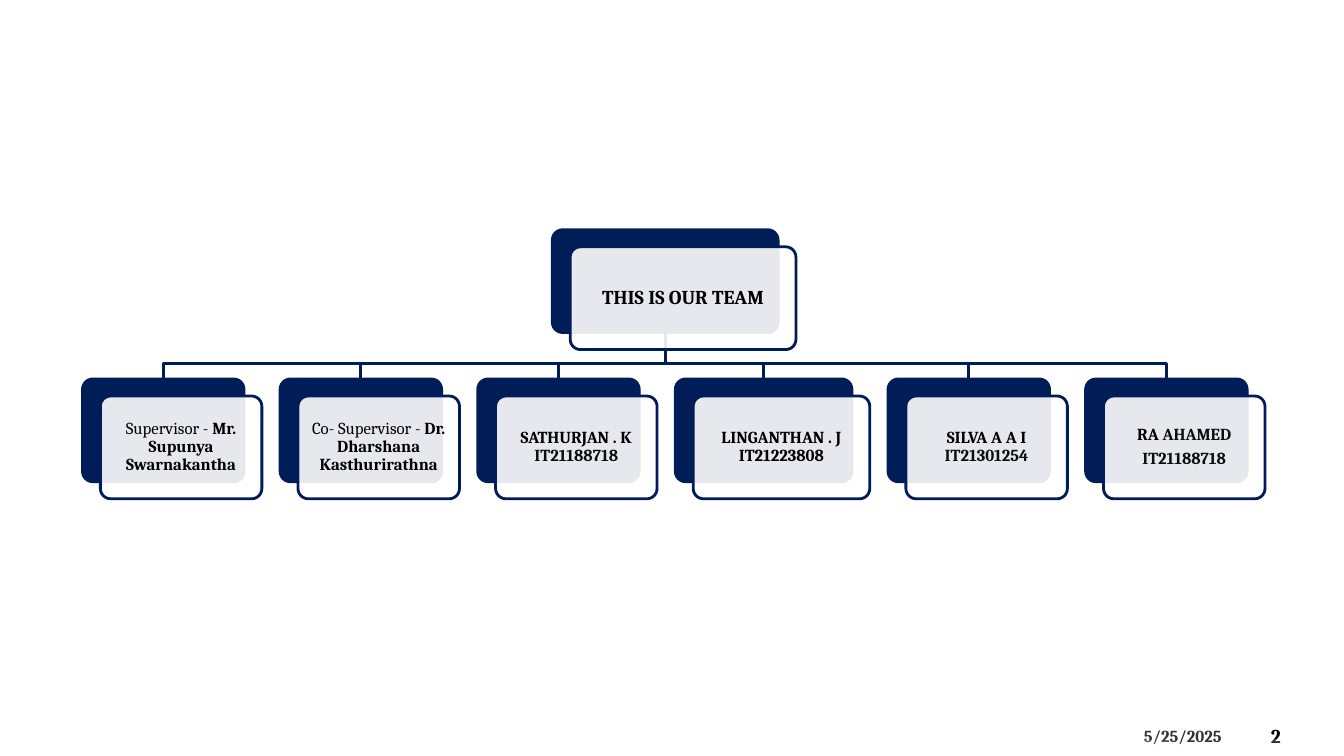
"""Builds a team organisation chart slide with one root card and six member cards."""
from dataclasses import dataclass

from lxml import etree
from pptx import Presentation
from pptx.dml.color import RGBColor
from pptx.enum.shapes import MSO_SHAPE
from pptx.enum.text import MSO_ANCHOR, PP_ALIGN
from pptx.oxml.ns import qn
from pptx.util import Cm, Pt

ROUNDED = MSO_SHAPE.ROUNDED_RECTANGLE
TRIANGLE = MSO_SHAPE.ISOSCELES_TRIANGLE
MIDDLE = MSO_ANCHOR.MIDDLE
TOP = MSO_ANCHOR.TOP
CENTER = PP_ALIGN.CENTER


@dataclass(frozen=True)
class Theme:
    font: str = "Cambria"
    navy: RGBColor = RGBColor(0x00, 0x1D, 0x58)
    white: RGBColor = RGBColor(0xFF, 0xFF, 0xFF)
    black: RGBColor = RGBColor(0x00, 0x00, 0x00)
    ink: RGBColor = RGBColor(0x0D, 0x0D, 0x0D)
    large: int = 14
    small: int = 12
    line: int = 2


THEME = Theme()
REGULAR = (False, THEME.black)
BOLD = (True, THEME.black)
BOLD_INK = (True, THEME.ink)

ROOT = [[("THIS IS OUR TEAM", BOLD)]]
MEMBERS = [
    (4.07, [[("Supervisor - ", REGULAR), ("Mr. Supunya Swarnakantha", BOLD)]]),
    (4.07, [[("Co- Supervisor - ", REGULAR), ("Dr. Dharshana Kasthurirathna", BOLD)]]),
    (4.07, [[("SATHURJAN . K ", BOLD), ("IT21188718", BOLD_INK)]]),
    (4.45, [[("LINGANTHAN . J IT21223808", BOLD)]]),
    (4.07, [[("SILVA A A I ", BOLD), ("IT21301254", BOLD_INK)]]),
    (4.07, [[("RA ", BOLD), ("AHAMED", BOLD_INK)], [("IT21188718", BOLD_INK)]]),
]
FOOTERS = [
    ("2", 31.78, 18.03, 1.88, 1.02, THEME.large, MIDDLE),
    ("5/25/2025", 28.58, 18.16, 2.97, 0.76, THEME.small, TOP),
]
FOOTER_TRIANGLES = [(1.25, 0.85), (1.04, 0.63), (0.51, 0.39)]

SLIDE_WIDTH, SLIDE_HEIGHT = 33.87, 19.05
ROOT_LEFT, ROOT_TOP, ROOT_WIDTH = 13.92, 5.79, 5.69
MEMBER_LEFT, MEMBER_TOP, MEMBER_GAP = 2.08, 9.55, 0.91
CARD_HEIGHT = 2.59
CARD_SHIFT = (0.45, 0.43)
BRANCH_TOP = ROOT_TOP + CARD_HEIGHT
BRANCH_BEND = 9.17


def add_filled(slide, kind, box, adjustment, colour, opacity=100):
    shape = slide.shapes.add_shape(kind, *map(Cm, box))
    shape.adjustments[0] = adjustment
    shape.shadow.inherit = False
    shape.fill.solid()
    shape.fill.fore_color.rgb = colour
    if opacity < 100:
        colour_element = shape.fill._xPr.find(".//" + qn("a:srgbClr"))
        etree.SubElement(colour_element, qn("a:alpha")).set("val", str(opacity * 1000))
    shape.line.fill.background()
    return shape


def outline(shape):
    shape.line.color.rgb = THEME.navy
    shape.line.width = Pt(THEME.line)


def write_card(frame, paragraphs, size):
    frame.word_wrap = True
    frame.vertical_anchor = MIDDLE
    frame.margin_left = frame.margin_right = Cm(0.13)
    frame.margin_top = frame.margin_bottom = Cm(0.13)
    for index, runs in enumerate(paragraphs):
        paragraph = frame.paragraphs[0] if index == 0 else frame.add_paragraph()
        paragraph.alignment = CENTER
        paragraph.line_spacing = 0.9
        paragraph.space_after = Pt(size * 0.35)
        paragraph.font.name = THEME.font
        paragraph.font.size = Pt(size)
        for text, (bold, colour) in runs:
            run = paragraph.add_run()
            run.text = text
            run.font.bold = bold
            run.font.color.rgb = colour


def add_card(slide, left, top, width, paragraphs, size):
    shift_x, shift_y = CARD_SHIFT
    back = add_filled(slide, ROUNDED, (left, top, width, CARD_HEIGHT), 0.1, THEME.navy)
    front_box = (left + shift_x, top + shift_y, width, CARD_HEIGHT)
    front = add_filled(slide, ROUNDED, front_box, 0.1, THEME.white, 90)
    outline(back)
    outline(front)
    write_card(front.text_frame, paragraphs, size)


def add_branch(slide, start, end):
    builder = slide.shapes.build_freeform(Cm(start), Cm(BRANCH_TOP))
    points = [(start, BRANCH_BEND), (end, BRANCH_BEND), (end, MEMBER_TOP)]
    builder.add_line_segments([(Cm(x), Cm(y)) for x, y in points], close=False)
    branch = builder.convert_to_shape()
    branch.shadow.inherit = False
    branch.fill.background()
    outline(branch)


def add_footer(slide):
    for text, left, top, width, height, size, anchor in FOOTERS:
        box = slide.shapes.add_textbox(Cm(left), Cm(top), Cm(width), Cm(height))
        box.text_frame.word_wrap = True
        box.text_frame.vertical_anchor = anchor
        paragraph = box.text_frame.paragraphs[0]
        paragraph.text = text
        paragraph.font.name = THEME.font
        paragraph.font.size = Pt(size)
        paragraph.font.bold = True
        paragraph.font.color.rgb = THEME.black
    for height, peak in FOOTER_TRIANGLES:
        box = (0, SLIDE_HEIGHT - height, SLIDE_WIDTH, height)
        add_filled(slide, TRIANGLE, box, peak, THEME.white, 20)


def add_team(slide):
    lefts = []
    left = MEMBER_LEFT
    for width, _ in MEMBERS:
        lefts.append(left)
        left += width + MEMBER_GAP
    for left, (width, _) in zip(lefts, MEMBERS):
        add_branch(slide, ROOT_LEFT + ROOT_WIDTH / 2, left + width / 2)
    add_card(slide, ROOT_LEFT, ROOT_TOP, ROOT_WIDTH, ROOT, THEME.large)
    for left, (width, paragraphs) in zip(lefts, MEMBERS):
        add_card(slide, left, MEMBER_TOP, width, paragraphs, THEME.small)


def main():
    presentation = Presentation()
    presentation.slide_width = Cm(SLIDE_WIDTH)
    presentation.slide_height = Cm(SLIDE_HEIGHT)
    slide = presentation.slides.add_slide(presentation.slide_layouts[6])
    add_footer(slide)
    add_team(slide)
    presentation.save("out.pptx")


if __name__ == "__main__":
    main()
